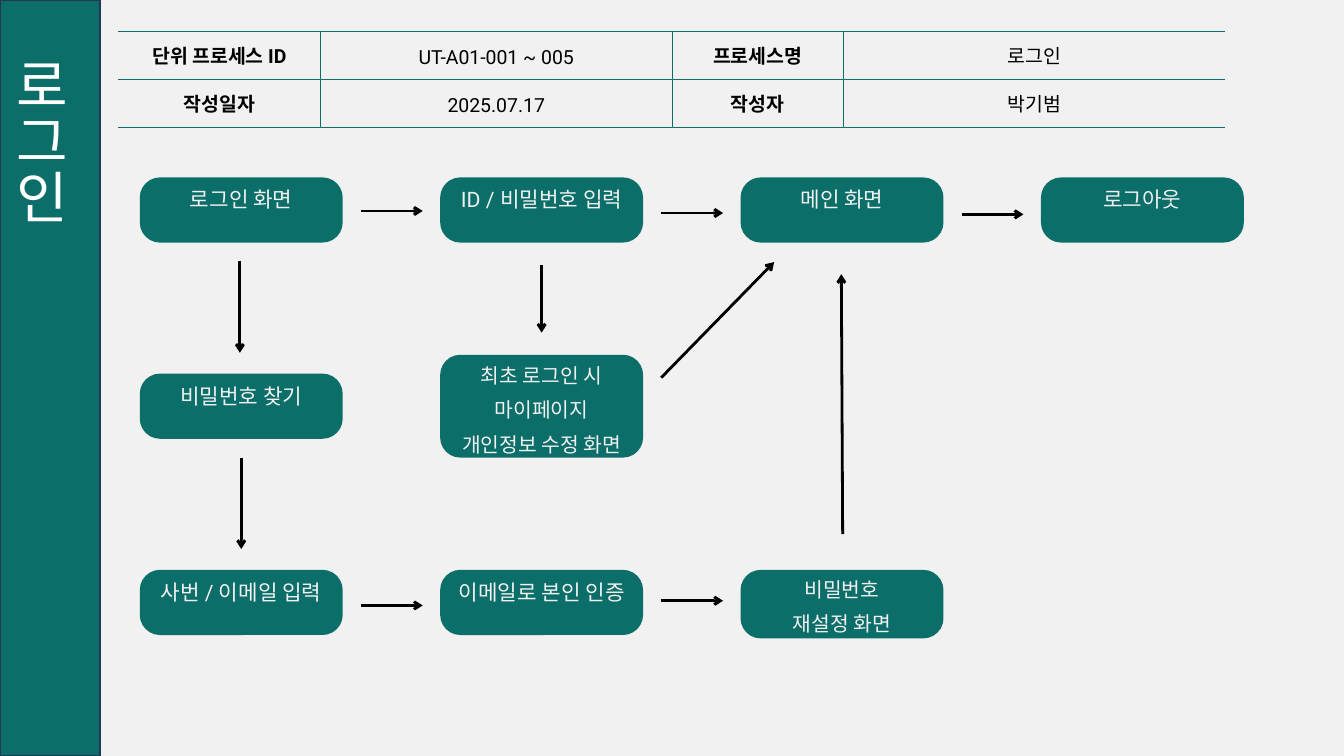
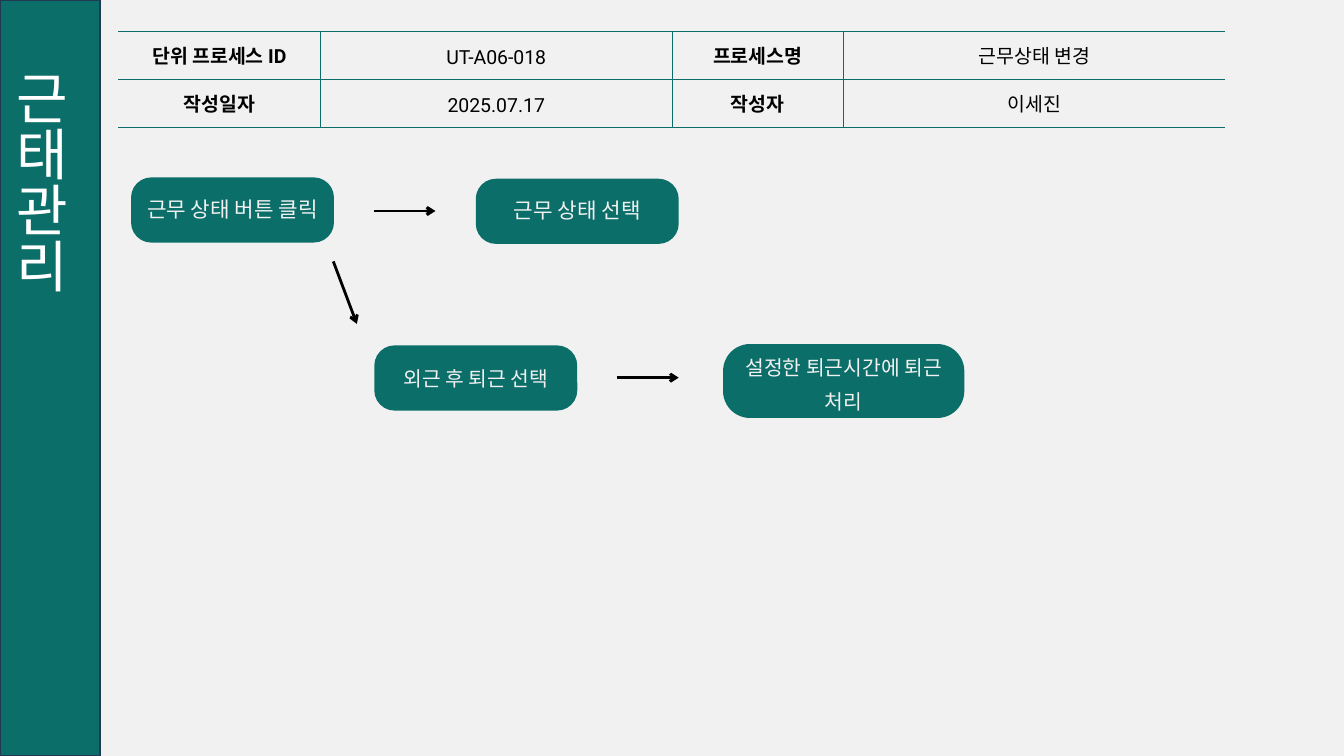
from pptx import Presentation
from pptx.dml.color import RGBColor
from pptx.enum.shapes import MSO_CONNECTOR, MSO_SHAPE
from pptx.enum.text import MSO_ANCHOR, MSO_AUTO_SIZE, PP_ALIGN
from pptx.oxml.ns import qn
from pptx.util import Inches, Pt
from lxml import etree

TEAL, NAVY, BLACK, PALE, WHITE = "0B6E69", "233953", "000000", "F1F1F1", "FFFFFF"
FONT, TITLE_FONT = "Roboto", "Calibri"
BIG, SMALL = 22.8, 21.8
BOX_W, BOX_H = 3.02, 0.97
COLS = [2.08 + 4.47 * i for i in range(4)]
ROWS = [2.64 + 2.92 * i for i in range(3)]
CENTER, LEFT = PP_ALIGN.CENTER, PP_ALIGN.LEFT
MIDDLE, BOTTOM = MSO_ANCHOR.MIDDLE, MSO_ANCHOR.BOTTOM
ROUND, STRAIGHT = MSO_SHAPE.ROUNDED_RECTANGLE, MSO_CONNECTOR.STRAIGHT
NO_FIT = MSO_AUTO_SIZE.NONE


def rgb(code):
    return RGBColor.from_string(code)


def inches(*sizes):
    return [Inches(size) for size in sizes]


def style(par, size, color, name=FONT, bold=False, gap=1.0, align=CENTER):
    par.alignment = align
    par.line_spacing = gap
    for run in par.runs:
        font = run.font
        font.size, font.name, font.bold = Pt(size), name, bold
        font.color.rgb = rgb(color)


def set_pad(item, pad):
    item.margin_left = item.margin_top = Inches(pad)
    item.margin_right = item.margin_bottom = Inches(pad)


# Side band that holds the vertical title
def add_title(slide, text, start):
    band = slide.shapes.title
    band.left, band.top, band.width, band.height = inches(0, 0, 1.49, 11.25)
    band.fill.solid()
    band.fill.fore_color.rgb = rgb(TEAL)
    band.line.color.rgb = rgb(NAVY)
    band.line.width = Pt(2)
    frame = band.text_frame
    frame.text = text
    frame.auto_size = NO_FIT
    frame.vertical_anchor = BOTTOM
    frame.margin_top = Inches(start)
    frame._txBody.bodyPr.set("vert", "eaVert")
    style(frame.paragraphs[0], 60, WHITE, TITLE_FONT, align=LEFT)


# Table cell edge; None leaves it undrawn
def add_edge(cell, side, color):
    edge = etree.SubElement(cell._tc.get_or_add_tcPr(), qn(f"a:{side}"), w=str(Pt(0.75)))
    if color is None:
        etree.SubElement(edge, qn("a:noFill"))
    else:
        fill = etree.SubElement(edge, qn("a:solidFill"))
        etree.SubElement(fill, qn("a:srgbClr"), val=color)


# Process facts above the flow
def add_facts(slide, code, name, author):
    rows = [("단위 프로세스 ID", code, "프로세스명", name),
            ("작성일자", "2025.07.17", "작성자", author)]
    widths = [3.01, 5.23, 2.55, 5.68]
    frame = slide.shapes.add_table(2, 4, *inches(1.76, 0.47, sum(widths), 1.42))
    table = frame.table
    table.first_row = table.horz_banding = False
    for col, width in zip(table.columns, widths):
        col.width = Inches(width)
    for r, row in enumerate(rows):
        for c, text in enumerate(row):
            cell = table.cell(r, c)
            cell.text = text
            cell.vertical_anchor = MIDDLE
            set_pad(cell, 0.01)
            style(cell.text_frame.paragraphs[0], 20.8, BLACK,
                  bold=c % 2 == 0, gap=Pt(29.2))
            add_edge(cell, "lnL", TEAL if c > 0 else None)
            add_edge(cell, "lnR", TEAL if c < 3 else None)
            add_edge(cell, "lnT", TEAL)
            add_edge(cell, "lnB", TEAL)
            cell.fill.background()


# Flow step: rounded box grouped with its label, which sits higher by lift
def add_step(slide, text, x, y, w=BOX_W, h=BOX_H, size=BIG, lift=0.47, curve=0.3):
    group = slide.shapes.add_group_shape()
    box = group.shapes.add_shape(ROUND, *inches(x, y, w, h))
    box.adjustments[0] = curve / min(w, h)
    box.shadow.inherit = False
    box.fill.solid()
    box.fill.fore_color.rgb = rgb(TEAL)
    box.line.fill.background()
    label = group.shapes.add_textbox(*inches(x, y - lift, w, h + 0.47))
    frame = label.text_frame
    frame.text = text
    frame.word_wrap = True
    frame.vertical_anchor = MIDDLE
    set_pad(frame, 0.06)
    for par in frame.paragraphs:
        style(par, size, PALE, gap=Pt(round(size * 1.693, 1)))


def add_arrow(slide, x1, y1, x2, y2):
    arrow = slide.shapes.add_connector(STRAIGHT, *inches(x1, y1, x2, y2))
    arrow.line.color.rgb = rgb(BLACK)
    arrow.line.width = Pt(3)
    etree.SubElement(arrow.line._get_or_add_ln(), qn("a:tailEnd"), type="arrow")
    etree.SubElement(arrow._element.spPr, qn("a:effectLst"))


def add_page(prs, title, start, *facts):
    slide = prs.slides.add_slide(prs.slide_layouts[5])
    add_title(slide, title, start)
    add_facts(slide, *facts)
    return slide


def build_login(prs):
    slide = add_page(prs, "로그인", 0.85, "UT-A01-001 ~ 005", "로그인", "박기범")
    steps = [("로그인 화면", 0, 0), ("ID / 비밀번호 입력", 1, 0), ("메인 화면", 2, 0),
             ("로그아웃", 3, 0), ("비밀번호 찾기", 0, 1),
             ("사번 / 이메일 입력", 0, 2), ("이메일로 본인 인증", 1, 2)]
    for text, col, row in steps:
        add_step(slide, text, COLS[col], ROWS[row])
    add_step(slide, "최초 로그인 시\n마이페이지\n개인정보 수정 화면",
             COLS[1], 5.28, h=1.53, size=SMALL, lift=0.26)
    add_step(slide, "비밀번호\n재설정 화면", COLS[2], ROWS[2],
             h=1.02, size=SMALL, lift=0.28)
    # Arrows across, then down, then back to the main screen
    for col, y in [(0, 3.14), (1, 3.17), (2, 3.19), (0, 9.01), (1, 8.94)]:
        x = COLS[col] + 3.29
        add_arrow(slide, x, y, x + 0.92, y)
    for x, y, size in [(3.57, 3.89, 1.36), (3.59, 6.81, 1.36), (8.06, 3.94, 1.01)]:
        add_arrow(slide, x, y, x, y + size)
    add_arrow(slide, 9.84, 5.62, 11.52, 3.9)
    add_arrow(slide, 12.54, 7.95, 12.52, 4.08)


def build_status(prs):
    slide = add_page(prs, "근태관리", 1.05, "UT-A06-018", "근무상태 변경", "이세진")
    add_step(slide, "근무 상태 버튼 클릭", 1.95, 2.64, lift=0.33)
    add_step(slide, "근무 상태 선택", 7.08, 2.66, lift=0.33)
    add_step(slide, "설정한 퇴근시간에 퇴근 처리", 10.76, 5.12, 3.59, 1.1,
             SMALL, 0.26, 0.4)
    add_step(slide, "외근 후 퇴근 선택", 5.57, 5.14, size=SMALL, lift=0.3)
    add_arrow(slide, 5.57, 3.14, 6.48, 3.14)
    add_arrow(slide, 9.18, 5.62, 10.1, 5.62)
    add_arrow(slide, 4.96, 3.89, 5.31, 4.82)


def main():
    prs = Presentation()
    prs.slide_width, prs.slide_height = inches(20, 11.25)
    back = prs.slide_master.background.fill
    back.solid()
    back.fore_color.rgb = rgb(PALE)
    build_login(prs)
    build_status(prs)
    prs.save("out.pptx")


if __name__ == "__main__":
    main()
